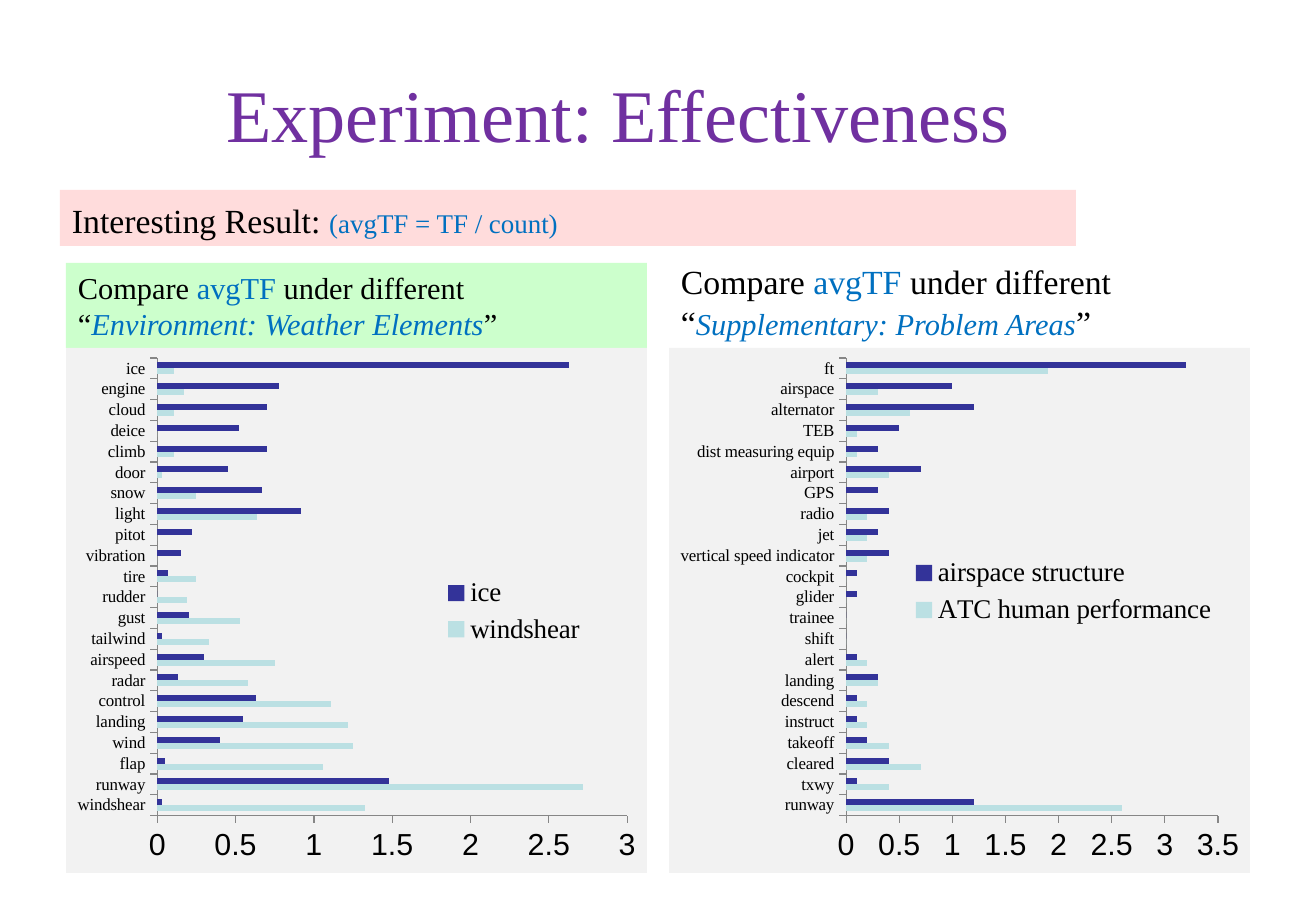
from pptx import Presentation
from pptx import util as u
from pptx.chart.data import CategoryChartData
from pptx.dml.color import RGBColor
from pptx.enum import chart as ch, shapes, text
from pptx.oxml import parse_xml
from pptx.oxml.ns import nsdecls

PX = 7526  # EMU in one px
W, H = 1316, 911
SERIF = "Times New Roman"
HUES = {
    "title": "7030A0", "ink": "000000", "term": "0070C0",
    "pink": "FFDCDC", "green": "CCFFCC", "panel": "F2F2F2",
    "axis": "868686", "pale": "BBE0E3", "navy": "333399",
}
TOP, WIDE, HEAD, TALL = 263, 581, 85, 525
LEFT, RIGHT = 66, 669

WEATHER = {  # word: (windshear, ice)
    "windshear": (1.33, 0.03), "runway": (2.72, 1.48), "flap": (1.06, 0.05),
    "wind": (1.25, 0.4), "landing": (1.22, 0.55), "control": (1.11, 0.63),
    "radar": (0.58, 0.13), "airspeed": (0.75, 0.3), "tailwind": (0.33, 0.03),
    "gust": (0.53, 0.2), "rudder": (0.19, 0), "tire": (0.25, 0.07),
    "vibration": (0, 0.15), "pitot": (0, 0.22), "light": (0.64, 0.92),
    "snow": (0.25, 0.67), "door": (0.03, 0.45), "climb": (0.11, 0.7),
    "deice": (0, 0.52), "cloud": (0.11, 0.7), "engine": (0.17, 0.78),
    "ice": (0.11, 2.63),
}
AREAS = {  # word: (ATC human performance, airspace structure)
    "runway": (2.6, 1.2), "txwy": (0.4, 0.1), "cleared": (0.7, 0.4),
    "takeoff": (0.4, 0.2), "instruct": (0.2, 0.1), "descend": (0.2, 0.1),
    "landing": (0.3, 0.3), "alert": (0.2, 0.1), "shift": (0, 0),
    "trainee": (0, 0), "glider": (0, 0.1), "cockpit": (0, 0.1),
    "vertical speed indicator": (0.2, 0.4), "jet": (0.2, 0.3),
    "radio": (0.2, 0.4), "GPS": (0, 0.3), "airport": (0.4, 0.7),
    "dist measuring equip": (0.1, 0.3), "TEB": (0.1, 0.5),
    "alternator": (0.6, 1.2), "airspace": (0.3, 1), "ft": (1.9, 3.2),
}


def rgb(hue):
    return RGBColor.from_string(HUES[hue])


def scale(box):
    return [n * PX for n in box]


def style(font, size, name=SERIF, hue="ink", slant=False):
    form = {"size": u.Pt(size), "name": name, "italic": slant, "bold": False}
    for key, val in form.items():
        setattr(font, key, val)
    font.color.rgb = rgb(hue)


def add_title(slide, words):
    title = slide.shapes.title
    title.left, title.top, title.width, title.height = scale((66, 37, 1185, 152))
    frame = title.text_frame
    frame.vertical_anchor = text.MSO_ANCHOR.MIDDLE
    frame.margin_left = 160 * PX
    para = frame.paragraphs[0]
    para.alignment = text.PP_ALIGN.LEFT
    run = para.add_run()
    run.text = words
    style(run.font, 44, hue="title")


def add_label(slide, box, runs, fill=None):
    """Bottom-anchored text; each run is (words, size, hue, slant)."""
    if fill:
        label = slide.shapes.add_shape(shapes.MSO_SHAPE.RECTANGLE, *scale(box))
        label.shadow.inherit = False
        label.fill.solid()
        label.fill.fore_color.rgb = rgb(fill)
        label.line.fill.background()
    else:
        label = slide.shapes.add_textbox(*scale(box))
    frame = label.text_frame
    frame.word_wrap = True
    frame.vertical_anchor = text.MSO_ANCHOR.BOTTOM
    para = frame.paragraphs[0]
    para.alignment = text.PP_ALIGN.LEFT
    for words, size, hue, slant in runs:
        run = para.add_run()
        run.text = words
        style(run.font, size, hue=hue, slant=slant)


def add_head(slide, left, topic, size, fill=None):
    runs = [
        ("Compare ", size, "ink", False),
        ("avgTF", size, "term", False),
        (" under different “", size, "ink", False),
        (topic, 18, "term", True),
        ("”", size, "ink", False),
    ]
    add_label(slide, (left, TOP, WIDE, HEAD), runs, fill)


def layout(box, inner=False):
    """Manual layout from a px box measured inside the chart."""
    x, y, w, h = box
    parts = {"x": x / WIDE, "y": y / TALL, "w": w / WIDE, "h": h / TALL}
    goal = '<c:layoutTarget val="inner"/>' if inner else ""
    modes = '<c:xMode val="edge"/><c:yMode val="edge"/>'
    sizes = "".join(f'<c:{k} val="{v:.3f}"/>' for k, v in parts.items())
    return parse_xml(f'<c:layout {nsdecls("c")}><c:manualLayout>{goal}{modes}'
                     f'{sizes}</c:manualLayout></c:layout>')


def format_axis(axis, size, name):
    axis.has_major_gridlines = False
    axis.major_tick_mark = ch.XL_TICK_MARK.OUTSIDE
    axis.format.line.color.rgb = rgb("axis")
    style(axis.tick_labels.font, size, name)


def add_bars(slide, left, names, table, top_val, plot_box, key_box):
    data = CategoryChartData()
    data.categories = list(table)
    for name, vals in zip(names, zip(*table.values())):
        data.add_series(name, vals)
    box = scale((left, TOP + HEAD, WIDE, TALL))
    kind = ch.XL_CHART_TYPE.BAR_CLUSTERED
    chart = slide.shapes.add_chart(kind, *box, data).chart
    chart.has_title = False
    style(chart.font, 18, "Arial")

    format_axis(chart.category_axis, 10, SERIF)
    val_axis = chart.value_axis
    format_axis(val_axis, 18, "Arial")
    val_axis.minimum_scale, val_axis.maximum_scale = 0, top_val
    val_axis.major_unit = 0.5

    plot = chart.plots[0]
    plot.gap_width, plot.overlap = 150, 0
    plot.vary_by_categories = False
    for bars, hue in zip(plot.series, ("pale", "navy")):
        bars.format.fill.solid()
        bars.format.fill.fore_color.rgb = rgb(hue)

    chart.has_legend = True
    key = chart.legend
    key.position = ch.XL_LEGEND_POSITION.RIGHT
    key.include_in_layout = True
    style(key.font, 16)

    root = chart.element
    area = root.find(".//{*}plotArea")
    for old in area.findall("{*}layout"):
        area.remove(old)
    area.insert(0, layout(plot_box, inner=True))
    root.find(".//{*}legend/{*}overlay").addprevious(layout(key_box))
    root.find("{*}chart").addnext(parse_xml(
        f'<c:spPr {nsdecls("c", "a")}><a:solidFill><a:srgbClr '
        f'val="{HUES["panel"]}"/></a:solidFill><a:ln><a:noFill/></a:ln></c:spPr>'))


def main():
    deck = Presentation()
    deck.slide_width, deck.slide_height = scale((W, H))
    slide = deck.slides.add_slide(deck.slide_layouts[5])
    add_title(slide, "Experiment: Effectiveness")
    add_label(slide, (60, 190, 1016, 56), [
        ("Interesting Result: ", 20, "ink", False),
        ("(avgTF = TF / count)", 16, "term", False),
    ], "pink")
    add_head(slide, LEFT, "Environment: Weather Elements", 18, "green")
    add_head(slide, RIGHT, "Supplementary: Problem Areas", 20)
    add_bars(slide, LEFT, ("windshear", "ice"), WEATHER, 3,
             (91, 10, 470, 458), (373, 224, 150, 78))
    add_bars(slide, RIGHT, ("ATC human performance", "airspace structure"),
             AREAS, 3.5, (177, 10, 372, 458), (237, 203, 315, 81))
    deck.save("out.pptx")


if __name__ == "__main__":
    main()
